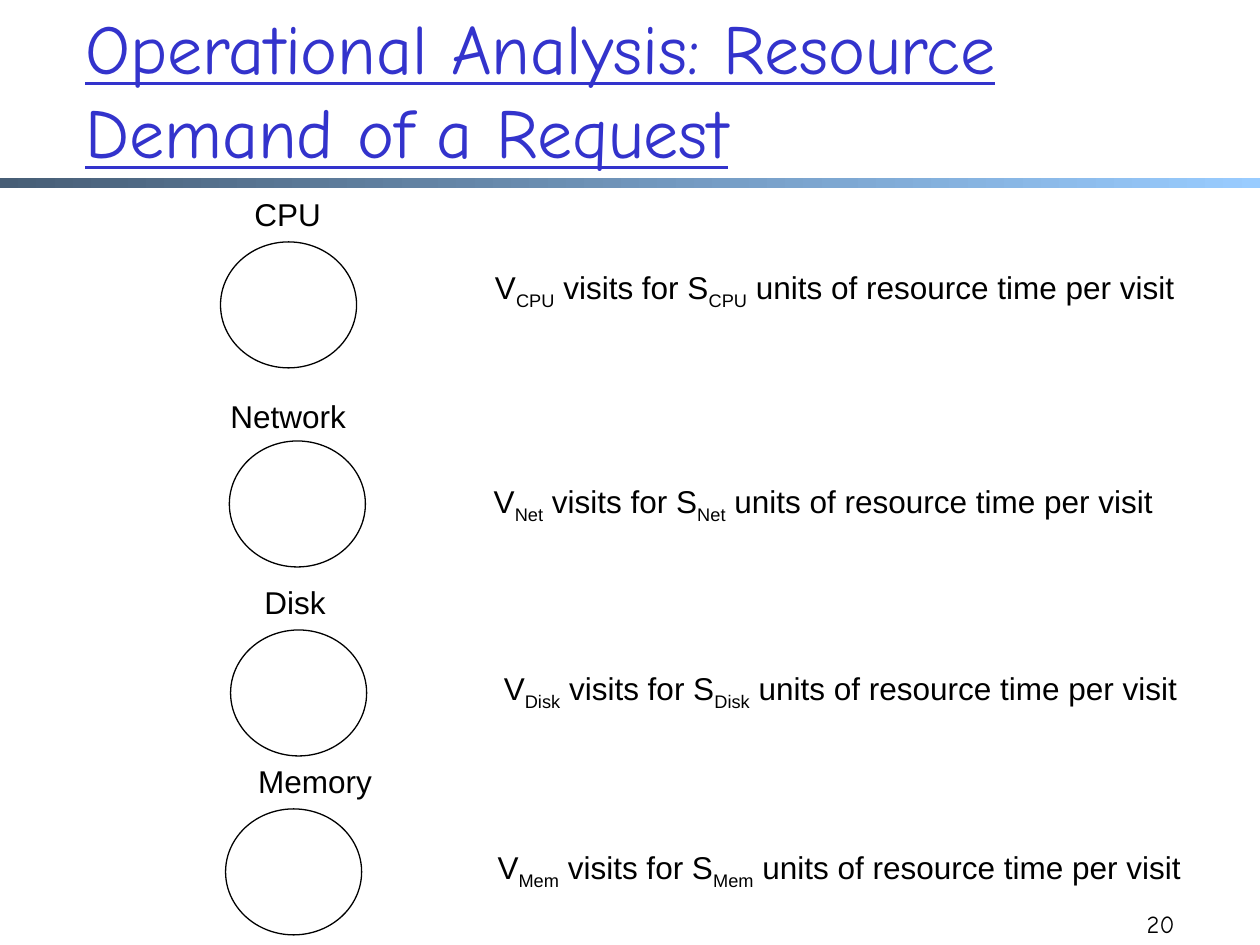
from dataclasses import dataclass

from pptx import Presentation
from pptx.dml.color import RGBColor
from pptx.enum.shapes import MSO_SHAPE as SHAPE
from pptx.enum.text import MSO_ANCHOR as ANCHOR, MSO_AUTO_SIZE as AUTO, PP_ALIGN as ALIGN
from pptx.util import Inches, Pt


@dataclass(frozen=True)
class Theme:
    ink: RGBColor = RGBColor(0, 0, 0)
    paper: RGBColor = RGBColor(255, 255, 255)
    title: RGBColor = RGBColor.from_string("3333CC")
    bar: tuple = (RGBColor.from_string("475E76"), RGBColor.from_string("99CCFF"))
    heading_font: str = "Comic Neue"
    body_font: str = "Arial"
    title_size: int = 40
    body_size: int = 18
    number_size: int = 14


T = Theme()
BODY = dict(name=T.body_font, size=Pt(T.body_size))
LABEL_H = 0.4
CIRCLE = (1.08, 1)

# name, subscript, label (left, top, width), circle (left, top), formula (left, top, width)
RESOURCES = [
    ("CPU", "CPU", (1.92, 1.5, 0.92), (1.75, 1.92), (3.83, 2.08, 5.92)),
    ("Network", "Net", (1.73, 3.1, 1.13), (1.82, 3.5), (3.82, 3.78, 5.69)),
    ("Disk", "Disk", (2, 4.58, 0.69), (1.83, 5), (3.9, 5.26, 5.82)),
    ("Memory", "Mem", (1.95, 6, 1.11), (1.79, 6.42), (3.85, 6.68, 5.91)),
]


def add_text(s, box, runs, font, color=T.ink, align=ALIGN.LEFT, **frame):
    """Place one paragraph; each run is (text, is_subscript)."""
    tf = s.shapes.add_textbox(*map(Inches, box)).text_frame
    for key, value in frame.items():
        setattr(tf, key, value)
    p = tf.paragraphs[0]
    p.alignment = align
    for text, subscript in runs:
        r = p.add_run()
        r.text = text
        for key, value in font.items():
            setattr(r.font, key, value)
        r.font.color.rgb = color
        if subscript:
            r._r.get_or_add_rPr().set("baseline", "-25000")


def add_header(s, title_box, bar_box, title):
    bar = s.shapes.add_shape(SHAPE.RECTANGLE, *map(Inches, bar_box))
    bar.shadow.inherit = False
    bar.line.fill.background()
    bar.fill.gradient()
    bar.fill.gradient_angle = 0
    for stop, color, position in zip(bar.fill.gradient_stops, T.bar, (0, 1)):
        stop.color.rgb = color
        stop.position = position
    add_text(s, title_box, [(title, False)],
             dict(name=T.heading_font, size=Pt(T.title_size), underline=True),
             T.title, word_wrap=True, vertical_anchor=ANCHOR.MIDDLE)


def add_resource(s, name, sub, label, circle, formula):
    fit = dict(word_wrap=False, auto_size=AUTO.SHAPE_TO_FIT_TEXT)
    add_text(s, (*label, LABEL_H), [(name, False)], BODY,
             **{**fit, "word_wrap": name == "CPU"})
    sp = s.shapes.add_shape(SHAPE.OVAL, *map(Inches, circle + CIRCLE))
    sp.shadow.inherit = False
    sp.fill.solid()
    sp.fill.fore_color.rgb = T.paper
    sp.line.color.rgb = T.ink
    sp.line.width = Pt(0.75)
    runs = [("V", False), (sub, True), (" visits for S", False), (sub, True),
            (" units of resource time per visit", False)]
    add_text(s, (*formula, LABEL_H), runs, BODY, **fit)


def add_page_number(s, box, number):
    add_text(s, box, [(number, False)],
             dict(name=T.heading_font, size=Pt(T.number_size)),
             align=ALIGN.RIGHT, word_wrap=True, vertical_anchor=ANCHOR.BOTTOM)


def main():
    prs = Presentation()
    prs.slide_width, prs.slide_height = Inches(10), Inches(7.5)
    s = prs.slides.add_slide(prs.slide_layouts[6])

    # Title and gradient rule
    add_header(s, (0.58, 0.08, 8.5, 1.25), (0, 1.41, 10, 0.08),
               "Operational Analysis: Resource Demand of a Request")
    # Resources, each with its demand
    for resource in RESOURCES:
        add_resource(s, *resource)
    # Footer
    add_page_number(s, (5.09, 7, 4.33, 0.5), "20")

    prs.save("out.pptx")


if __name__ == "__main__":
    main()
